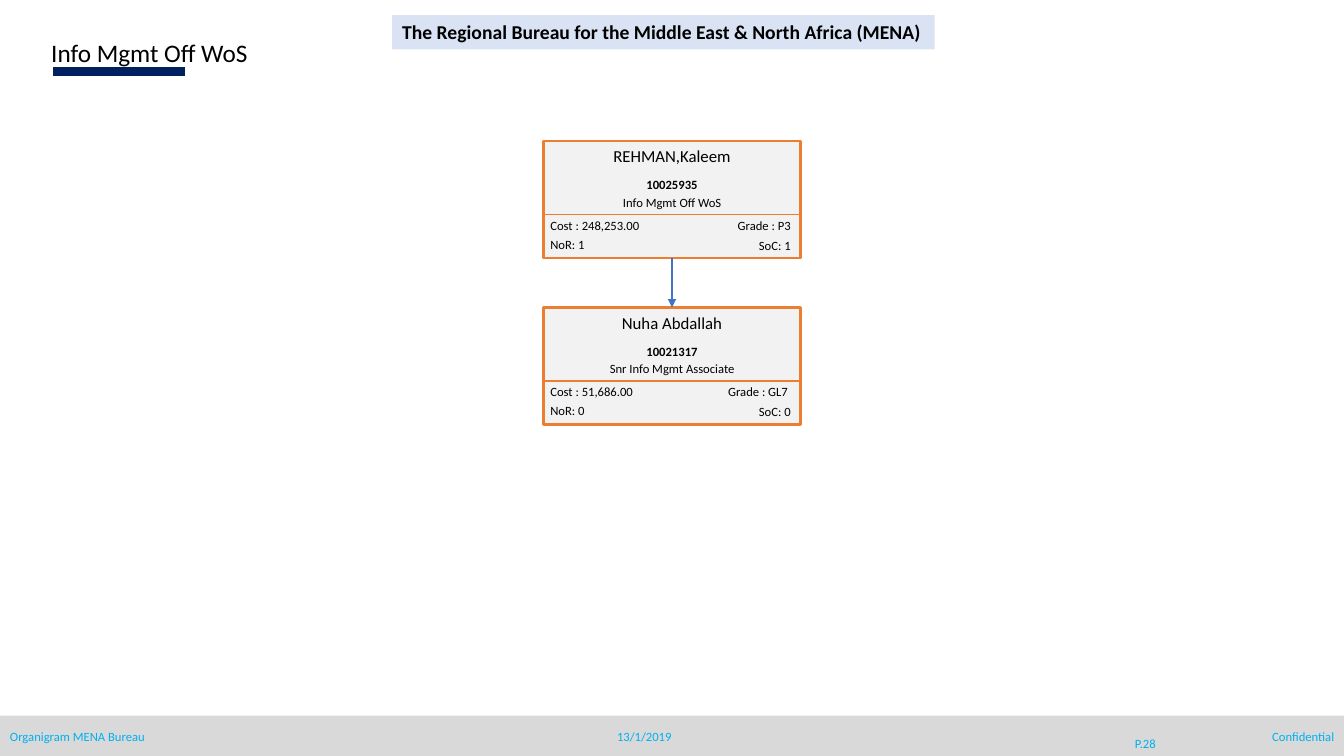
import dataclasses

import pptx
import pptx.dml.color
import pptx.enum.shapes
import pptx.enum.text
import pptx.oxml.ns
import pptx.util
from lxml import etree

Inches = pptx.util.Inches
Align = pptx.enum.text.PP_ALIGN
Anchor = pptx.enum.text.MSO_ANCHOR


@dataclasses.dataclass(frozen=True)
class Theme:
    font: str = "Calibri"
    ink: str = "000000"
    accent: str = "002060"
    footer_text: str = "00B0F0"
    footer_fill: str = "D9D9D9"
    banner_fill: str = "DAE3F3"
    card_fill: str = "F2F2F2"
    card_line: str = "ED7D31"
    arrow: str = "4472C4"
    title_size: int = 18
    banner_size: int = 14
    name_size: int = 12
    small_size: int = 9


theme = Theme()
color = pptx.dml.color.RGBColor.from_string

deck = pptx.Presentation()
deck.slide_width, deck.slide_height = Inches(13.33), Inches(7.5)
page = deck.slides.add_slide(deck.slide_layouts[6])


def add_text(text, left, top, width, height, size=theme.small_size, ink=theme.ink,
             align=Align.LEFT, bold=False, anchor=Anchor.TOP):
    box = page.shapes.add_textbox(Inches(left), Inches(top), Inches(width), Inches(height))
    frame = box.text_frame
    frame.word_wrap = True
    frame.vertical_anchor = anchor
    frame.text = text
    para = frame.paragraphs[0]
    para.alignment = align
    span = para.runs[0]
    span.font.name = theme.font
    span.font.size = pptx.util.Pt(size)
    span.font.bold = bold
    span.font.color.rgb = color(ink)
    return box


def add_line(left, top, right, bottom, ink, weight):
    line = page.shapes.add_connector(
        pptx.enum.shapes.MSO_CONNECTOR.STRAIGHT,
        Inches(left), Inches(top), Inches(right), Inches(bottom))
    line.line.color.rgb = color(ink)
    line.line.width = pptx.util.Pt(weight)
    etree.SubElement(line._element.spPr, pptx.oxml.ns.qn("a:effectLst"))
    return line


# Title and footer
add_line(0.53, 0.71, 1.84, 0.71, theme.accent, 7)
add_text("Info Mgmt Off WoS", 0.41, 0.32, 5.3, 0.41, theme.title_size)

footer = page.shapes.add_shape(pptx.enum.shapes.MSO_SHAPE.RECTANGLE,
                               Inches(0), Inches(7.1), Inches(13.33), Inches(0.4))
footer.shadow.inherit = False
footer.fill.solid()
footer.fill.fore_color.rgb = color(theme.footer_fill)
footer.line.fill.background()

for text, left, width, height, align, anchor in [
    ("Organigram MENA Bureau", 0, 3.08, 0.25, Align.LEFT, Anchor.TOP),
    ("13/1/2019", 5.95, 0.88, 0.25, Align.CENTER, Anchor.MIDDLE),
    ("P.28", 10.96, 0.8, 0.4, Align.CENTER, Anchor.MIDDLE),
    ("Confidential", 10.25, 3.08, 0.25, Align.RIGHT, Anchor.TOP),
]:
    add_text(text, left, 7.18, width, height, ink=theme.footer_text, align=align, anchor=anchor)

banner = add_text("The Regional Bureau for the Middle East & North Africa (MENA)",
                  3.89, 0.15, 5.38, 0.34, theme.banner_size, bold=True)
banner.text_frame.word_wrap = False
banner.fill.solid()
banner.fill.fore_color.rgb = color(theme.banner_fill)

# Staff cards, from manager to report
staff = [
    ("REHMAN,Kaleem", "10025935", "Info Mgmt Off WoS",
     "Cost : 248,253.00", "Grade : P3", "NoR: 1", "SoC: 1"),
    ("Nuha Abdallah", "10021317", "Snr Info Mgmt Associate",
     "Cost : 51,686.00", "Grade : GL7 ", "NoR: 0", "SoC: 0"),
]
card_left, card_width, card_height = 5.39, 2.55, 1.16
card_right = card_left + card_width
first_top, card_step = 1.4, 1.65
cards = []

for index, (name, number, job, cost, grade, reports, span_of_control) in enumerate(staff):
    top = first_top + index * card_step
    card = page.shapes.add_shape(pptx.enum.shapes.MSO_SHAPE.RECTANGLE, Inches(card_left),
                                 Inches(top), Inches(card_width), Inches(card_height))
    card.shadow.inherit = False
    card.fill.solid()
    card.fill.fore_color.rgb = color(theme.card_fill)
    card.line.color.rgb = color(theme.card_line)
    card.line.width = pptx.util.Pt(2)
    cards.append(card)

    add_text(name, card_left, top, card_width, 0.3, theme.name_size, align=Align.CENTER)
    add_text(number, card_left, top + 0.31, card_width, 0.25, align=Align.CENTER, bold=True)
    add_text(job, card_left, top + 0.48, card_width, 0.25, align=Align.CENTER)
    add_line(card_left, top + 0.73, card_right, top + 0.73, theme.card_line, 1)
    for text, offset in [(cost, 0.71), (reports, 0.9)]:
        add_text(text, card_left - 0.03, top + offset, 1.58, 0.25)
    for text, offset in [(grade, 0.71), (span_of_control, 0.91)]:
        add_text(text, card_right - 1.22, top + offset, 1.22, 0.25, align=Align.RIGHT)

# Reporting line
center = card_left + card_width / 2
arrow = add_line(center, first_top + card_height, center, first_top + card_step, theme.arrow, 1.5)
arrow.begin_connect(cards[0], 2)
arrow.end_connect(cards[1], 0)
etree.SubElement(arrow.line._get_or_add_ln(), pptx.oxml.ns.qn("a:tailEnd"), type="triangle")

deck.save("out.pptx")
